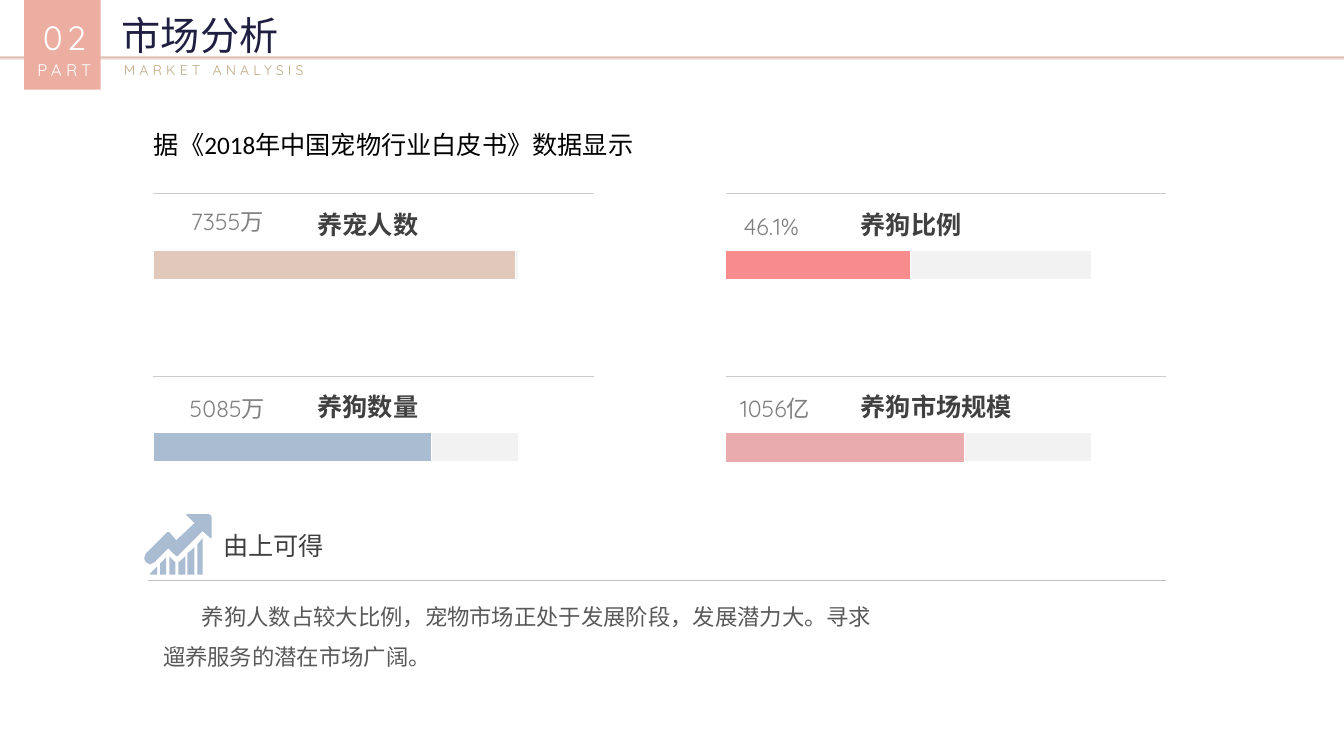
"""Build the market analysis slide with four pet market indicators."""
from copy import deepcopy

from lxml.etree import SubElement
from pptx import Presentation
from pptx.dml.color import RGBColor
from pptx.enum.shapes import MSO_CONNECTOR, MSO_SHAPE
from pptx.enum.text import MSO_ANCHOR, MSO_AUTO_SIZE, PP_ALIGN
from pptx.oxml.ns import qn
from pptx.util import Cm, Pt

COLORS = {
    "navy": "201F42", "gold": "C0A984", "salmon": "ECAEA0", "white": "FFFFFF",
    "value": "808080", "label": "404040", "body": "595959", "black": "000000",
    "track": "F2F2F2", "sand": "E1C8BB", "blue": "AABCD1", "coral": "F88B8B",
    "pink": "E9ABAD", "rule": "CCCCCC", "divider": "BFBFBF",
    "band_pale": "FBF8F6", "band": "DDC1B2", "band_soft": "E8D6CC",
}
CJK = "Noto Sans CJK SC"


def rgb(name):
    return RGBColor.from_string(COLORS[name])


def write(sp, box, lines, font, color, align=PP_ALIGN.LEFT, anchor=MSO_ANCHOR.TOP,
          wrap=True, inset=True, bold=False, spacing=None, tracking=0, indent=0):
    sp.left, sp.top, sp.width, sp.height = [Cm(v) for v in box]
    tf = sp.text_frame
    tf.word_wrap = wrap
    tf.auto_size = MSO_AUTO_SIZE.NONE
    tf.vertical_anchor = anchor
    tf.margin_left = tf.margin_right = Cm(0.25 if inset else 0)
    tf.margin_top = tf.margin_bottom = Cm(0.13 if inset else 0)
    for i, (text, size) in enumerate(lines):
        p = tf.add_paragraph() if i else tf.paragraphs[0]
        p.alignment = align
        if spacing:
            p.line_spacing = spacing
        if indent:
            p._p.get_or_add_pPr().set("indent", str(Cm(indent)))
        r = p.add_run()
        r.text = text
        r.font.name = font
        r.font.size = Pt(size)
        r.font.bold = bold
        r.font.color.rgb = rgb(color)
        if tracking:
            r._r.get_or_add_rPr().set("spc", str(tracking * 100))
        SubElement(r._r.get_or_add_rPr(), qn("a:ea")).set("typeface", CJK)


prs = Presentation()
prs.slide_width, prs.slide_height = Cm(33.87), Cm(19.05)
s = prs.slides.add_slide(prs.slide_layouts[5])
shapes = s.shapes

write(shapes.title, (2.82, 0.15, 6, 1.45), [("市场分析", 28)], CJK, "navy")
write(shapes.add_textbox(0, 0, 0, 0), (2.87, 1.37, 7.39, 0.71),
      [("MARKET ANALYSIS", 10)], "Quicksand", "gold", spacing=1.14, tracking=3)

band = shapes.add_shape(MSO_SHAPE.RECTANGLE, 0, Cm(1.42), prs.slide_width, Cm(0.1))
band.shadow.inherit = False
band.line.fill.background()
band.fill.gradient()
band.fill.gradient_angle = 90
first_stop = band.fill.gradient_stops[0]._gs
for _ in range(2):
    first_stop.addnext(deepcopy(first_stop))
band_stops = [(0, "band_pale"), (0.74, "band"), (0.83, "band"), (1, "band_soft")]
for stop, (position, color) in zip(band.fill.gradient_stops, band_stops):
    stop.position = position
    stop.color.rgb = rgb(color)

badge = shapes.add_shape(MSO_SHAPE.RECTANGLE, Cm(0.61), 0, Cm(1.93), Cm(2.26))
badge.shadow.inherit = False
badge.fill.solid()
badge.fill.fore_color.rgb = rgb("salmon")
badge.line.fill.background()
write(shapes.add_textbox(0, 0, 0, 0), (0.61, 0.15, 2.03, 1.96), [("02", 24), ("PART", 12)],
      "Quicksand", "white", align=PP_ALIGN.CENTER, spacing=1.14, tracking=3)

COLUMNS, ROWS = (3.86, 18.29), (4.88, 9.47)
LABEL_OFFSETS = (4.14, 3.4)
indicators = [
    (0, 0, "7355万", 3.18, 0.25, "养宠人数", "sand", 9.14, 0.76),
    (0, 1, "5085万", 3.18, 0.36, "养狗数量", "blue", 7.01, 0.74),
    (1, 0, "46.1%", 1.73, 0.36, "养狗比例", "coral", 4.65, 0.74),
    (1, 1, "1056亿", 1.93, 0.36, "养狗市场规模", "pink", 6.02, 0.76),
]
rules = [(3.73, 14.63, 25.66, "divider", 0.5)]
for col, row, value, value_w, value_dy, label, color, bar_w, bar_h in indicators:
    x, y = COLUMNS[col], ROWS[row]
    rules.append((x, y, 11.1, "rule", 0.25))
    for width, height, fill in ((9.22, 0.74, "track"), (bar_w, bar_h, color)):
        bar = shapes.add_shape(MSO_SHAPE.RECTANGLE, Cm(x), Cm(y + 1.42), Cm(width), Cm(height))
        bar.shadow.inherit = False
        bar.fill.solid()
        bar.fill.fore_color.rgb = rgb(fill)
        bar.line.color.rgb = rgb("white")
        bar.line.width = Pt(1)
    write(shapes.add_textbox(0, 0, 0, 0), (x + 0.28, y + value_dy, value_w, 0.91),
          [(value, 16.6)], "Quicksand", "value", align=PP_ALIGN.CENTER,
          anchor=MSO_ANCHOR.MIDDLE, wrap=False)
    write(shapes.add_textbox(0, 0, 0, 0), (x + LABEL_OFFSETS[col], y + 0.4, 5.8, 0.81),
          [(label, 18)], "Arial", "label", inset=False, bold=True)

for x, y, length, color, weight in rules:
    rule = shapes.add_connector(MSO_CONNECTOR.STRAIGHT, Cm(x), Cm(y), Cm(x + length), Cm(y))
    rule.line.color.rgb = rgb(color)
    rule.line.width = Pt(weight)
    SubElement(rule._element.spPr, qn("a:effectLst"))

ICON_BASE = 570
bars = [(149, 156, 569, 562), (159, 165, 559, 553), (168, 174, 552, 558),
        (177, 184, 558, 552), (186, 193, 549, 543), (196, 201, 540, 534)]
outlines = [[(left, ICON_BASE), (left, left_top), (right, right_top), (right, ICON_BASE)]
            for left, right, left_top, right_top in bars]
outlines.append([
    (186, 510), (207, 510), (209, 511), (210, 513), (210, 534), (209, 534), (201, 527),
    (177, 551), (175.5, 552), (174, 551), (167, 544), (153, 558), (151, 559.3), (149, 559.7),
    (147, 559.3), (145, 558), (143.5, 556), (143, 553.5), (143.5, 551), (145, 549),
    (166, 528), (167, 527.5), (168, 528), (175, 536), (193, 519), (185, 511), (185, 510)])
icon_path = shapes.build_freeform(*outlines[0][0], scale=Cm(0.0254))
for i, outline in enumerate(outlines):
    if i:
        icon_path.move_to(*outline[0])
    icon_path.add_line_segments(outline[1:], close=True)
icon = icon_path.convert_to_shape()
icon.shadow.inherit = False
icon.fill.solid()
icon.fill.fore_color.rgb = rgb("blue")
icon.line.fill.background()

write(shapes.add_textbox(0, 0, 0, 0), (5.38, 13.23, 3.6, 1.02),
      [("由上可得", 18)], "Arial", "label")
write(shapes.add_textbox(0, 0, 0, 0), (3.86, 14.73, 18.87, 2.34),
      [("养狗人数占较大比例，宠物市场正处于发展阶段，发展潜力大。寻求遛养服务的潜在市场广阔。", 16)],
      CJK, "body", spacing=1.5, indent=0.98)
write(shapes.add_textbox(0, 0, 0, 0), (3.63, 3.12, 12.78, 1.02),
      [("据《2018年中国宠物行业白皮书》数据显示", 18)], "Calibri", "black")

prs.save("out.pptx")
